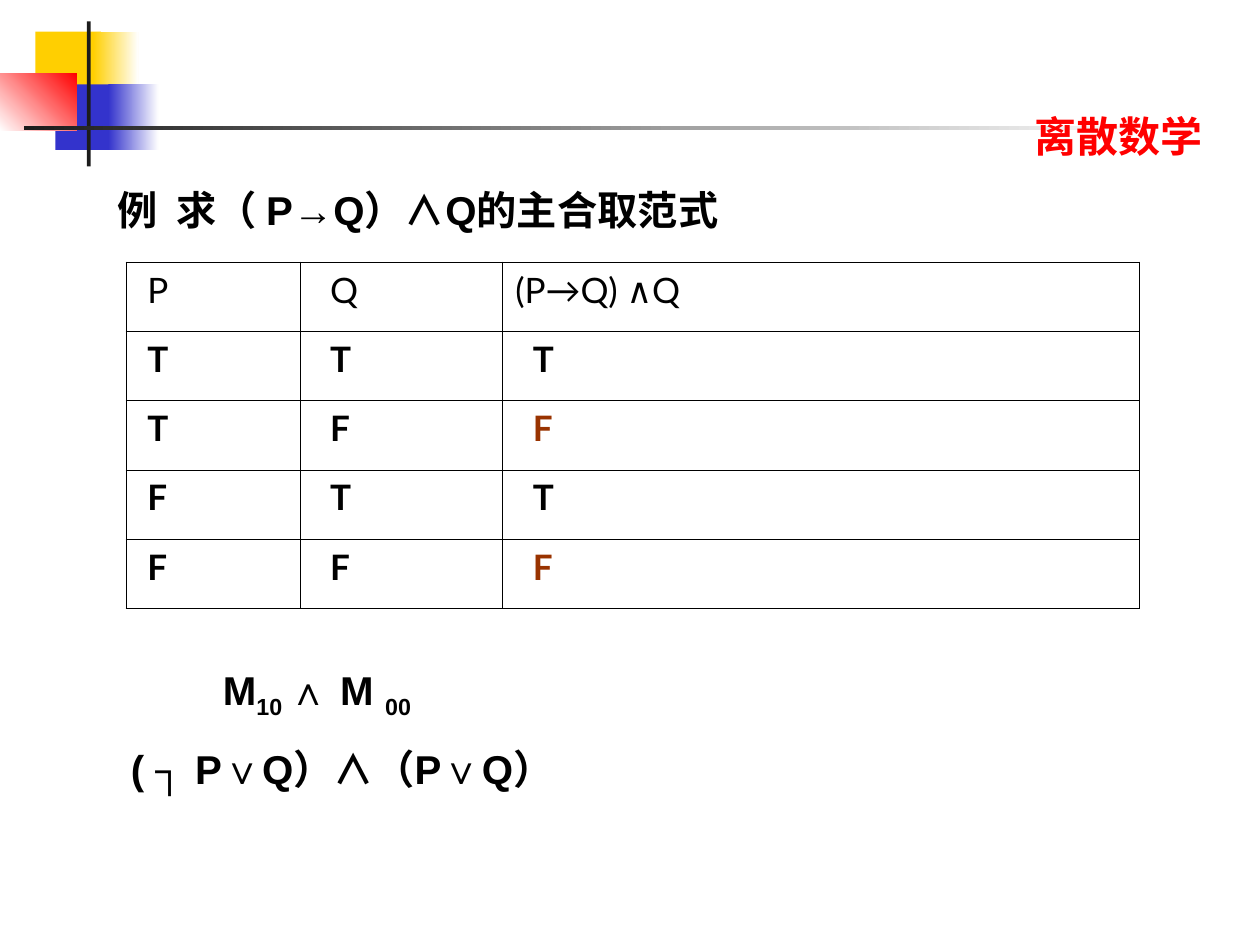
from dataclasses import dataclass

from lxml.etree import SubElement
from pptx import Presentation
from pptx.dml.color import RGBColor
from pptx.enum.shapes import MSO_SHAPE
from pptx.enum.text import MSO_ANCHOR, MSO_AUTO_SIZE, PP_ALIGN
from pptx.oxml.ns import qn
from pptx.util import Inches, Pt


@dataclass(frozen=True)
class Theme:
    """Colours, fonts and type sizes of the slide."""
    ink: str = "000000"
    paper: str = "FFFFFF"
    bar: str = "1C1C1C"
    yellow: str = "FFCF01"
    blue: str = "3333CC"
    red: str = "FF0000"
    false_value: str = "993300"
    body_font: str = "Arial"
    table_font: str = "Lato"
    course_size: int = 24
    body_size: int = 23
    table_size: int = 20
    border_width: float = 0.45


class SlideBuilder:
    """Draws styled elements on the current slide."""

    def __init__(self, slide, theme):
        """Keep the slide and its theme."""
        self.slide = slide
        self.theme = theme

    def style(self, font, name, size, color, bold=True):
        """Apply typeface, size, colour and weight to a font."""
        font.name, font.size, font.bold = name, Pt(size), bold
        font.color.rgb = RGBColor.from_string(color)

    def block(self, left, top, width, height, start, end=None, angle=0):
        """Draw a plain or gradient rectangle without outline."""
        block = self.slide.shapes.add_shape(
            MSO_SHAPE.RECTANGLE, *map(Inches, (left, top, width, height)))
        block.shadow.inherit = False
        block.line.fill.background()
        if end is None:
            block.fill.solid()
            block.fill.fore_color.rgb = RGBColor.from_string(start)
            return
        block.fill.gradient()
        block.fill.gradient_angle = angle
        for stop, color, position in zip(block.fill.gradient_stops, (start, end), (0, 1)):
            stop.color.rgb = RGBColor.from_string(color)
            stop.position = position

    def title(self, text, left, top, width, height, tab):
        """Place the title with one tab stop after its label."""
        title = self.slide.shapes.title
        title.left, title.top, title.width, title.height = map(
            Inches, (left, top, width, height))
        frame = title.text_frame
        frame.text = text
        frame.word_wrap = False
        frame.auto_size = MSO_AUTO_SIZE.SHAPE_TO_FIT_TEXT
        frame.vertical_anchor = MSO_ANCHOR.TOP
        heading = frame.paragraphs[0]
        heading.alignment = PP_ALIGN.LEFT
        heading.space_before = Pt(0)
        stops = SubElement(heading._p.get_or_add_pPr(), qn("a:tabLst"))
        SubElement(stops, qn("a:tab"), pos=str(Inches(tab)), algn="l")
        for run in heading.runs:
            self.style(run.font, self.theme.body_font, self.theme.body_size, self.theme.ink)

    def text(self, parts, left, top, width, height, font, size, color):
        """Add one line made of (text, baseline percent) parts."""
        box = self.slide.shapes.add_textbox(*map(Inches, (left, top, width, height)))
        frame = box.text_frame
        frame.word_wrap = True
        frame.auto_size = MSO_AUTO_SIZE.SHAPE_TO_FIT_TEXT
        for part, baseline in parts:
            run = frame.paragraphs[0].add_run()
            run.text = part
            self.style(run.font, font, size, color)
            if baseline:
                run.font._element.set("baseline", str(baseline * 1000))

    def border(self, cell):
        """Outline all four sides of a cell."""
        for side in ("a:lnL", "a:lnR", "a:lnT", "a:lnB"):
            line = SubElement(cell._tc.get_or_add_tcPr(), qn(side),
                              w=str(Pt(self.theme.border_width)))
            fill = SubElement(line, qn("a:solidFill"))
            SubElement(fill, qn("a:srgbClr"), val=self.theme.ink)

    def truth_table(self, rows, left, top, widths, row_height, indents):
        """Add a truth table whose false results are highlighted."""
        table = self.slide.shapes.add_table(
            len(rows), len(widths), Inches(left), Inches(top),
            Inches(sum(widths)), Inches(row_height * len(rows))).table
        table.first_row = table.horz_banding = False
        for column, width in zip(table.columns, widths):
            column.width = Inches(width)
        last = len(widths) - 1
        for r, values in enumerate(rows):
            table.rows[r].height = Inches(row_height)
            for c, value in enumerate(values):
                cell = table.cell(r, c)
                indent = 0 if (r, c) == (0, last) else indents[c]
                cell.margin_left = Inches(0.1 + indent)
                cell.text_frame.text = value
                highlighted = c == last and value == "F"
                self.style(cell.text_frame.paragraphs[0].runs[0].font,
                           self.theme.table_font, self.theme.table_size,
                           self.theme.false_value if highlighted else self.theme.ink,
                           bold=r > 0)
                self.border(cell)
                cell.fill.solid()
                cell.fill.fore_color.rgb = RGBColor.from_string(self.theme.paper)
                paper = cell._tc.tcPr.find(qn("a:solidFill")).find(qn("a:srgbClr"))
                SubElement(paper, qn("a:alpha"), val="50000")


def main():
    """Build and save the truth table slide."""
    theme = Theme()
    deck = Presentation()
    deck.slide_width, deck.slide_height = Inches(10), Inches(7.5)
    builder = SlideBuilder(deck.slides.add_slide(deck.slide_layouts[5]), theme)

    builder.block(0.28, 0.25, 0.52, 0.52, theme.yellow)
    builder.block(0.74, 0.25, 0.36, 0.52, theme.yellow, theme.paper)
    builder.block(0.44, 0.67, 0.46, 0.52, theme.blue)
    builder.block(0.86, 0.67, 0.4, 0.52, theme.blue, theme.paper)
    builder.block(0, 0.58, 0.61, 0.46, theme.paper, theme.red, angle=45)
    builder.block(0.69, 0.17, 0.03, 1.15, theme.bar)
    builder.block(0.19, 1, 9, 0.03, theme.bar, theme.paper)

    builder.text([("离散数学", 0)], 8.11, 0.83, 2.92, 0.5,
                 theme.table_font, theme.course_size, theme.red)
    builder.title("例\t求（ P→Q）∧Q的主合取范式", 0.83, 1.42, 5.34, 0.49, tab=0.47)
    builder.truth_table(
        [("P", "Q", "(P→Q) ∧Q"), *map(tuple, ("TTT", "TFF", "FTT", "FFF"))],
        1, 2.08, (1.38, 1.61, 5.05), 0.55, (0.07, 0.14, 0.14))

    body = (theme.body_font, theme.body_size, theme.ink)
    builder.text([("( ┐ P∨Q）∧（P∨Q）", 0)], 0.94, 5.86, 7.5, 0.49, *body)
    builder.text([("M", 0), ("10 ", -25), ("∧ M ", 0), ("00", -25)],
                 1.67, 5.23, 1.8, 0.54, *body)

    deck.save("out.pptx")


if __name__ == "__main__":
    main()
